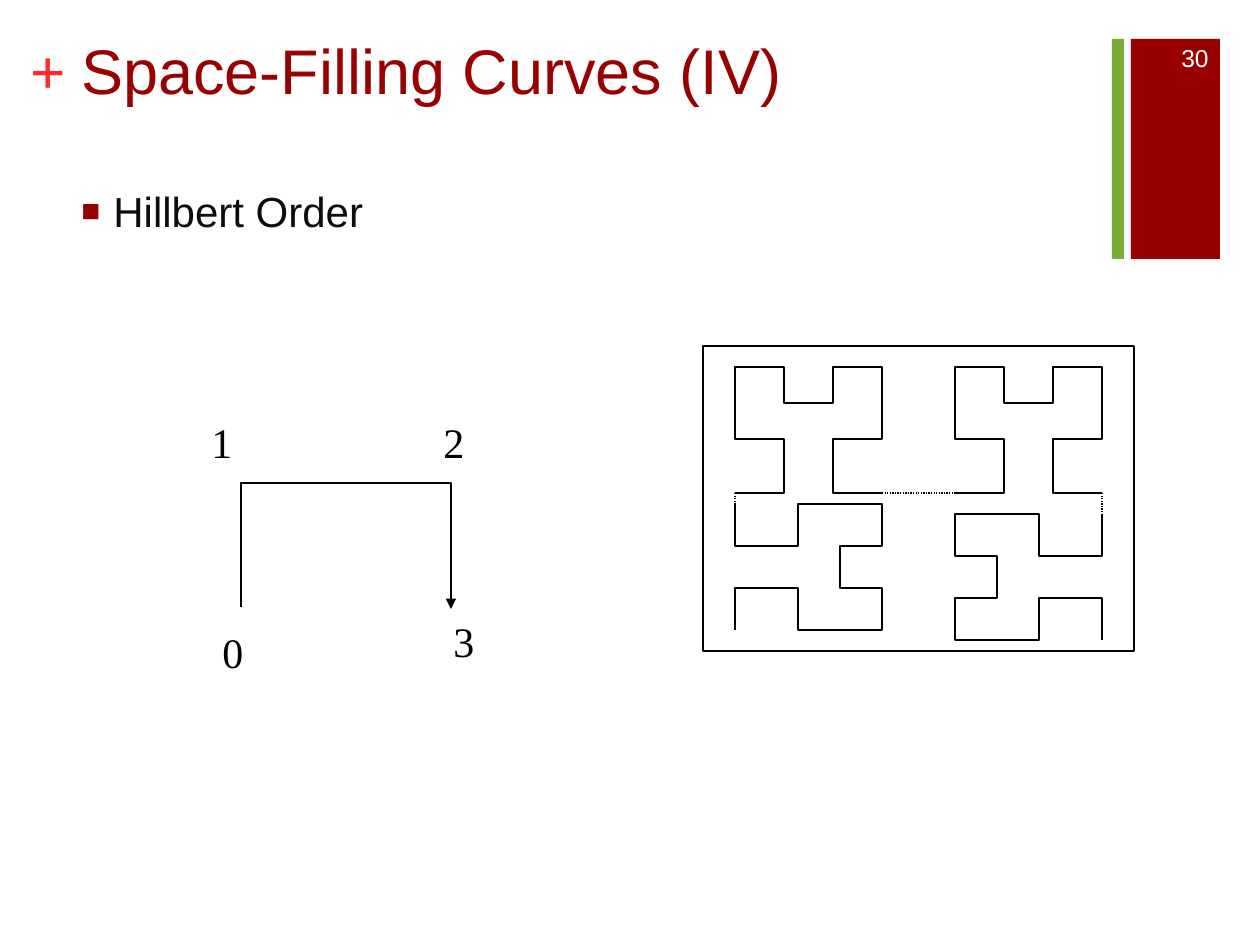
import pptx
import pptx.util
import pptx.dml.color
import pptx.enum.dml
import pptx.enum.shapes
import pptx.enum.text
import pptx.oxml
import pptx.oxml.ns

PX = 914400 / 126  # EMU in one px
SANS, SERIF = "Arial", "Times New Roman"
COLORS = {
    "red": "990000",
    "plus": "FF2929",
    "green": "78AC35",
    "body": "0D0D0D",
    "black": "000000",
    "white": "FFFFFF",
}

# Hilbert cells as (column, row) steps; columns run from the outer edge inwards
TOP_CELL = [(3, 3), (2, 3), (2, 2), (3, 2), (3, 0), (2, 0), (2, 1),
            (1, 1), (1, 0), (0, 0), (0, 2), (1, 2), (1, 3), (0, 3)]
BOTTOM_CELL = [(0, 3), (0, 2), (1, 2), (1, 3), (3, 3), (3, 2), (2, 2),
               (2, 1), (3, 1), (3, 0), (1, 0), (1, 1), (0, 1), (0, 0)]
TOP_COLUMNS, TOP_ROWS = [0, 49, 98, 147], [367, 403, 439, 493]
BOTTOM_COLUMNS, ROW_STEP = [0, 63, 105, 147], 42
LEFT, RIGHT = 735, 1102  # outer edges of the curve


def emu(px):
    return pptx.util.Emu(round(px * PX))


def rgb(name):
    return pptx.dml.color.RGBColor.from_string(COLORS[name])


def add_xml(parent, tag, **attrs):
    child = pptx.oxml.parse_xml(f"<a:{tag} {pptx.oxml.ns.nsdecls('a')}/>")
    for key, value in attrs.items():
        child.set(key, value)
    parent.append(child)


def style_line(line, dash=None):
    line.color.rgb = rgb("black")
    line.width = pptx.util.Pt(0.75)
    if dash:
        line.dash_style = dash


def add_rect(s, x, y, w, h, fill=None):
    sp = s.shapes.add_shape(pptx.enum.shapes.MSO_SHAPE.RECTANGLE,
                            emu(x), emu(y), emu(w), emu(h))
    sp.shadow.inherit = False
    if fill:
        sp.fill.solid()
        sp.fill.fore_color.rgb = rgb(fill)
        sp.line.fill.background()
    else:
        sp.fill.background()
        style_line(sp.line)


def add_text(s, text, x, y, w, h, size, color, font=SANS):
    sp = s.shapes.add_textbox(emu(x), emu(y), emu(w), emu(h))
    tf = sp.text_frame
    tf.word_wrap = True
    tf.text = text
    r = tf.paragraphs[0].runs[0]
    r.font.size = pptx.util.Pt(size)
    r.font.name = font
    r.font.color.rgb = rgb(color)
    return tf


def add_bullet(p, indent):
    pPr = p._p.get_or_add_pPr()
    pPr.set("marL", str(emu(indent)))
    pPr.set("indent", str(-emu(indent)))
    bullet_color = pptx.oxml.parse_xml(
        f'<a:buClr {pptx.oxml.ns.nsdecls("a")}><a:srgbClr val="{COLORS["red"]}"/></a:buClr>')
    pPr.append(bullet_color)
    add_xml(pPr, "buSzPct", val="75000")
    add_xml(pPr, "buFont", typeface=SANS)
    add_xml(pPr, "buChar", char="■")


def add_path(s, points, arrow=False):
    points = [(emu(x), emu(y)) for x, y in points]
    builder = s.shapes.build_freeform(*points[0], scale=1.0)
    builder.add_line_segments(points[1:], close=False)
    sp = builder.convert_to_shape()
    sp.shadow.inherit = False
    sp.fill.background()
    style_line(sp.line)
    if arrow:
        add_xml(sp.line._get_or_add_ln(), "tailEnd", type="triangle")


def add_cell(s, cell, columns, rows):
    add_path(s, [(columns[c], rows[r]) for c, r in cell])


def add_dotted_link(s, x1, y1, x2, y2):
    link = s.shapes.add_connector(pptx.enum.shapes.MSO_CONNECTOR.STRAIGHT,
                                  emu(x1), emu(y1), emu(x2), emu(y2))
    style_line(link.line, pptx.enum.dml.MSO_LINE.ROUND_DOT)
    add_xml(link._element.spPr, "effectLst")


def add_hilbert_curve(s):
    for edge, side, bottom_top in ((LEFT, 1, 504), (RIGHT, -1, 514)):
        bottom_rows = [bottom_top + ROW_STEP * i for i in range(4)]
        add_cell(s, BOTTOM_CELL, [edge + side * c for c in BOTTOM_COLUMNS], bottom_rows)
        add_cell(s, TOP_CELL, [edge + side * c for c in TOP_COLUMNS], TOP_ROWS)
        add_dotted_link(s, edge, TOP_ROWS[-1], edge, bottom_top)
    width = TOP_COLUMNS[-1]
    add_dotted_link(s, LEFT + width, TOP_ROWS[-1], RIGHT - width, TOP_ROWS[-1])


def main():
    prs = pptx.Presentation()
    prs.slide_width, prs.slide_height = emu(1260), emu(945)
    s = prs.slides.add_slide(prs.slide_layouts[6])

    # Corner decoration and slide number
    add_rect(s, 1131, 39, 89, 220, "red")
    add_rect(s, 1112, 39, 12, 220, "green")
    tf = add_text(s, "30", 1144, 33, 77, 50, 14, "white")
    tf.vertical_anchor = pptx.enum.text.MSO_ANCHOR.MIDDLE
    tf.paragraphs[0].alignment = pptx.enum.text.PP_ALIGN.RIGHT

    # Title with its plus sign
    tf = add_text(s, "+", 30, 32, 37, 81, 36, "plus", SERIF)
    tf.margin_left = tf.margin_right = tf.margin_top = tf.margin_bottom = 0
    tf.paragraphs[0].runs[0].font.bold = True
    add_text(s, "Space-Filling Curves (IV)", 69, 25, 1041, 154, 36, "red")

    # Body
    tf = add_text(s, "Hillbert Order", 69, 179, 1041, 683, 24, "body")
    add_bullet(tf.paragraphs[0], 32)

    # Basic order of the four quadrants
    for label, x, y in (("0", 210, 620), ("1", 199, 410), ("2", 431, 410), ("3", 441, 609)):
        add_text(s, label, x, y, 63, 63, 24, "black", SERIF)
    add_path(s, [(241, 607), (241, 483), (451, 483), (451, 609)], arrow=True)

    # Framed curve of the next order
    add_rect(s, 703, 346, 431, 305)
    add_hilbert_curve(s)

    prs.save("out.pptx")


if __name__ == "__main__":
    main()
